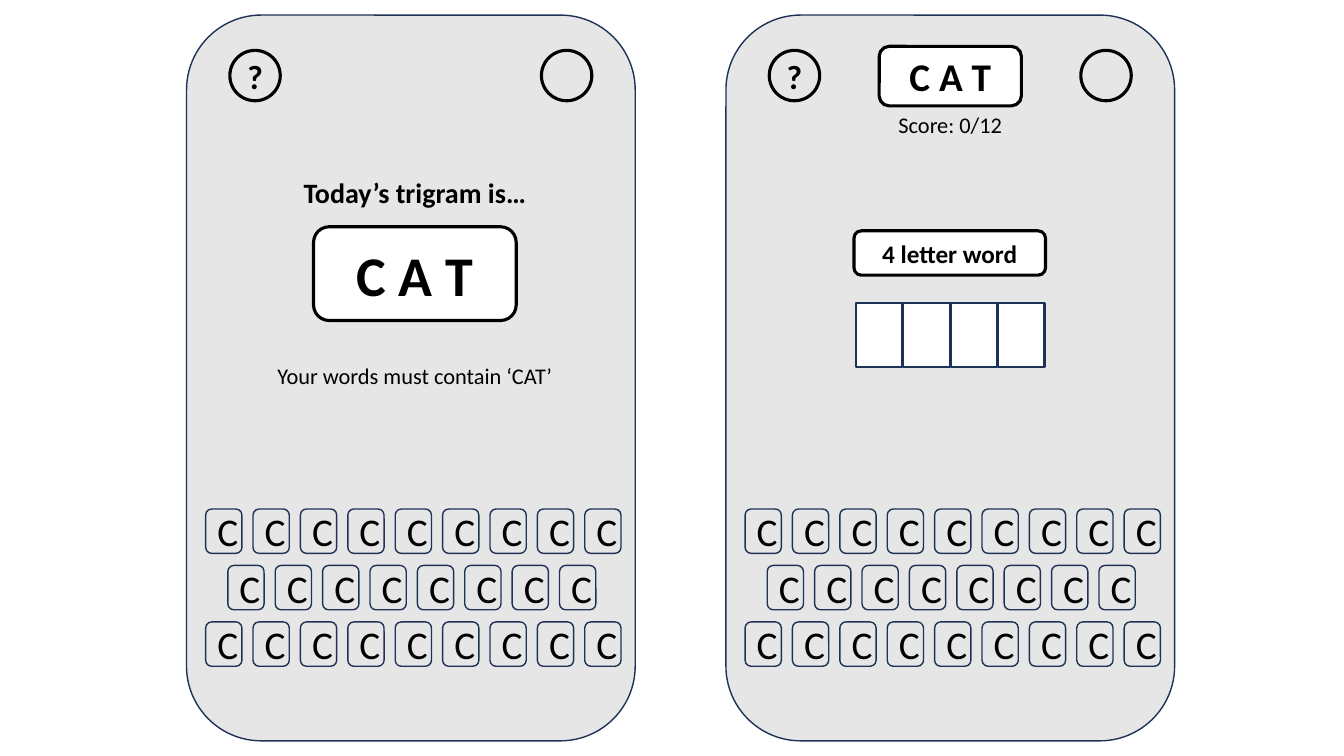
from dataclasses import dataclass

from pptx import Presentation
from pptx.dml.color import RGBColor
from pptx.enum.shapes import MSO_SHAPE
from pptx.enum.text import MSO_ANCHOR, PP_ALIGN
from pptx.util import Inches, Pt


@dataclass(frozen=True)
class Theme:
    font: str = "Calibri"
    ink: RGBColor = RGBColor(0, 0, 0)
    white: RGBColor = RGBColor(0xFF, 0xFF, 0xFF)
    screen: RGBColor = RGBColor(0xE7, 0xE6, 0xE6)
    navy: RGBColor = RGBColor(0x1E, 0x32, 0x56)
    thin: float = 1
    medium: float = 1.5
    thick: float = 2.25
    body: int = 16
    prompt: int = 18
    heading: int = 20
    icon: int = 24
    letter: int = 28
    hero: int = 40


class Mockup:
    """Draws the parts of a word game's phone screens on one slide."""

    def __init__(self, slide, theme):
        self.slide = slide
        self.theme = theme

    def box(self, kind, left, top, width, height, fill=None, line=None, weight=1):
        shape = self.slide.shapes.add_shape(
            kind, Inches(left), Inches(top), Inches(width), Inches(height))
        shape.shadow.inherit = False
        if fill is None:
            shape.fill.background()
        else:
            shape.fill.solid()
            shape.fill.fore_color.rgb = fill
        if line is None:
            shape.line.fill.background()
        else:
            shape.line.color.rgb = line
            shape.line.width = Pt(weight)
        return shape

    def set_text(self, shape, text, size, bold=False):
        frame = shape.text_frame
        frame.word_wrap = True
        frame.vertical_anchor = MSO_ANCHOR.MIDDLE
        paragraph = frame.paragraphs[0]
        paragraph.text = text
        paragraph.alignment = PP_ALIGN.CENTER
        paragraph.font.name = self.theme.font
        paragraph.font.size = Pt(size)
        paragraph.font.bold = bold
        paragraph.font.color.rgb = self.theme.ink

    def label(self, text, left, top, width, height, size, bold=False):
        shape = self.box(MSO_SHAPE.ROUNDED_RECTANGLE, left, top, width, height)
        self.set_text(shape, text, size, bold)

    def card(self, text, left, top, width, height, size):
        theme = self.theme
        shape = self.box(MSO_SHAPE.ROUNDED_RECTANGLE, left, top, width, height,
                         theme.white, theme.ink, theme.thick)
        self.set_text(shape, text, size, bold=True)

    def round_button(self, left, text=""):
        theme = self.theme
        shape = self.box(MSO_SHAPE.OVAL, left, 0.5, 0.5, 0.5,
                         line=theme.ink, weight=theme.thick)
        if text:
            self.set_text(shape, text, theme.icon, bold=True)

    def key_row(self, left, top, letters):
        theme = self.theme
        for column, letter in enumerate(letters):
            key = self.box(MSO_SHAPE.ROUNDED_RECTANGLE, left + 0.47 * column, top,
                           0.36, 0.44, line=theme.navy, weight=theme.thin)
            self.set_text(key, letter, theme.letter)

    def letter_tiles(self, left, top, count):
        theme = self.theme
        for column in range(count):
            self.box(MSO_SHAPE.RECTANGLE, left + 0.47 * column, top, 0.46, 0.63,
                     theme.white, theme.navy, theme.medium)

    def phone(self, left):
        """Draw what both screens share: body, round buttons and keyboard."""
        theme = self.theme
        self.box(MSO_SHAPE.ROUNDED_RECTANGLE, left, 0.15, 4.45, 7.2,
                 theme.screen, theme.navy, theme.thin)
        self.round_button(left + 0.43, "?")
        self.round_button(left + 3.52)
        for row, (indent, count) in enumerate([(0.19, 9), (0.41, 8), (0.19, 9)]):
            self.key_row(left + indent, 5.05 + 0.56 * row, "C" * count)


def main():
    presentation = Presentation()
    presentation.slide_width = Inches(13.33)
    presentation.slide_height = Inches(7.5)
    slide = presentation.slides.add_slide(presentation.slide_layouts[6])
    theme = Theme()
    mockup = Mockup(slide, theme)

    # Game screen
    mockup.phone(7.2)
    mockup.card("C A T", 8.72, 0.46, 1.41, 0.59, theme.letter)
    mockup.label("Score: 0/12", 8.72, 1.09, 1.41, 0.3, theme.body)
    mockup.card("4 letter word", 8.47, 2.29, 1.9, 0.44, theme.prompt)
    mockup.letter_tiles(8.49, 3.01, 4)

    # Start screen
    mockup.phone(1.85)
    mockup.label("Today’s trigram is…", 2.83, 1.76, 2.57, 0.3, theme.heading, bold=True)
    mockup.card("C A T", 3.11, 2.25, 2.01, 0.93, theme.hero)
    mockup.label("Your words must contain ‘CAT’", 2.57, 3.61, 3.09, 0.23, theme.body)

    presentation.save("out.pptx")


if __name__ == "__main__":
    main()
